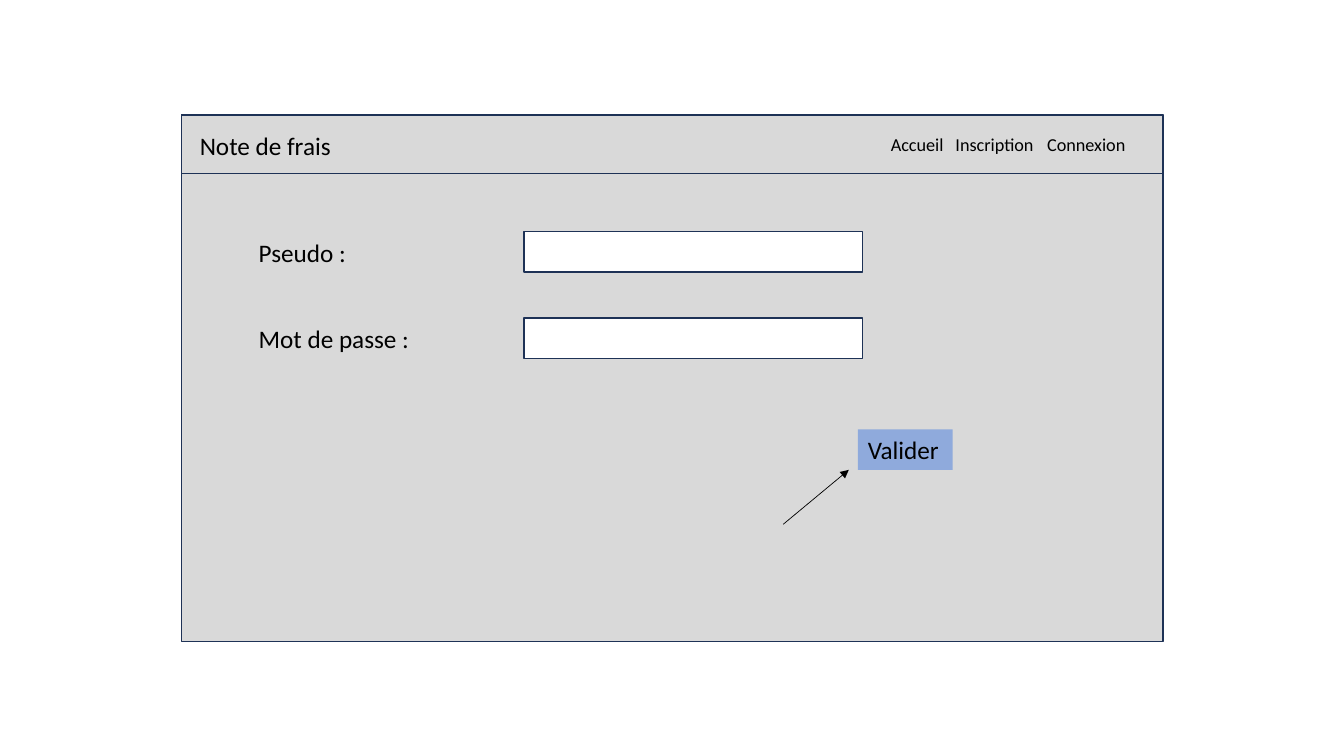
from dataclasses import dataclass

from lxml import etree
from pptx import Presentation
from pptx.dml.color import RGBColor
from pptx.enum.shapes import MSO_CONNECTOR, MSO_SHAPE
from pptx.enum.text import MSO_ANCHOR, MSO_AUTO_SIZE, PP_ALIGN
from pptx.oxml.ns import qn
from pptx.util import Cm, Pt

RECTANGLE = MSO_SHAPE.RECTANGLE
STRAIGHT = MSO_CONNECTOR.STRAIGHT
MIDDLE = MSO_ANCHOR.MIDDLE
LEFT = PP_ALIGN.LEFT
NO_AUTOFIT = MSO_AUTO_SIZE.NONE

FONT = "Calibri"
COLORS = {
    "panel": "D9D9D9",
    "outline": "1E3256",
    "input": "FFFFFF",
    "button": "8FAADC",
    "ink": "000000",
}


@dataclass(frozen=True)
class Box:
    """Position and size in centimetres."""
    left: float
    top: float
    width: float
    height: float

    def lengths(self):
        return Cm(self.left), Cm(self.top), Cm(self.width), Cm(self.height)


@dataclass(frozen=True)
class MenuItem:
    label: str
    left: float
    width: float


@dataclass(frozen=True)
class Field:
    label: str
    label_width: float


WINDOW = Box(4.57, 2.9, 24.74, 13.26)
HEADER = Box(4.57, 2.9, 24.74, 1.47)
TITLE = Box(4.78, 3.15, 4.27, 1.02)
BUTTON = Box(21.62, 10.82, 2.39, 1.02)
MENU = [
    MenuItem("Accueil", 22.2, 1.85),
    MenuItem("Inscription", 23.83, 2.51),
    MenuItem("Connexion", 26.14, 2.51),
]
FIELDS = [Field("Pseudo :", 2.77), Field("Mot de passe :", 5.87)]
FIELD_TOP, FIELD_STEP, FIELD_HEIGHT = 5.84, 2.17, 1.02
LABEL_LEFT, INPUT_LEFT, INPUT_WIDTH = 6.27, 13.21, 8.53


def rgb(color: str) -> RGBColor:
    return RGBColor.from_string(COLORS[color])


def write_text(shape, text: str, *, size: float = 18, color: str = "ink",
               wrap: bool = True) -> None:
    frame = shape.text_frame
    frame.text = text
    frame.word_wrap = wrap
    frame.auto_size = NO_AUTOFIT
    frame.vertical_anchor = MIDDLE
    paragraph = frame.paragraphs[0]
    paragraph.alignment = LEFT
    font = paragraph.runs[0].font
    font.name, font.size, font.bold = FONT, Pt(size), False
    font.color.rgb = rgb(color)


def add_label(slide, text: str, box: Box, *, size: float = 18) -> None:
    label = slide.shapes.add_textbox(*box.lengths())
    write_text(label, text, size=size, wrap=False)


def add_rectangle(slide, box: Box, fill: str, *, outlined: bool = True):
    rectangle = slide.shapes.add_shape(RECTANGLE, *box.lengths())
    rectangle.shadow.inherit = False
    rectangle.fill.solid()
    rectangle.fill.fore_color.rgb = rgb(fill)
    if outlined:
        rectangle.line.color.rgb = rgb("outline")
        rectangle.line.width = Pt(1)
    else:
        rectangle.line.fill.background()
    return rectangle


def add_arrow(slide, start: tuple[float, float], end: tuple[float, float]) -> None:
    arrow = slide.shapes.add_connector(
        STRAIGHT, *(Cm(value) for value in start + end))
    arrow.line.color.rgb = rgb("ink")
    arrow.line.width = Pt(0.5)
    etree.SubElement(arrow.line._get_or_add_ln(), qn("a:tailEnd"), type="triangle")
    etree.SubElement(arrow._element.spPr, qn("a:effectLst"))


def main() -> None:
    presentation = Presentation()
    presentation.slide_width, presentation.slide_height = Cm(33.87), Cm(19.05)
    slide = presentation.slides.add_slide(presentation.slide_layouts[5])

    # Window and its header bar
    for box in (WINDOW, HEADER):
        add_rectangle(slide, box, "panel")

    # Title, brought in front of the header bar
    title = slide.shapes.title
    title.left, title.top, title.width, title.height = TITLE.lengths()
    write_text(title, "Note de frais", wrap=False)
    slide.shapes._spTree.append(title._element)

    # Menu
    for item in MENU:
        add_label(slide, item.label, Box(item.left, 3.23, item.width, 0.81), size=13)

    # Login form
    for row, field in enumerate(FIELDS):
        top = FIELD_TOP + row * FIELD_STEP
        add_label(slide, field.label,
                  Box(LABEL_LEFT, top, field.label_width, FIELD_HEIGHT))
        add_rectangle(slide, Box(INPUT_LEFT, top, INPUT_WIDTH, FIELD_HEIGHT), "input")

    # Submit button and the arrow pointing at it
    submit = add_rectangle(slide, BUTTON, "button", outlined=False)
    write_text(submit, "Valider", wrap=False)
    add_arrow(slide, (19.74, 13.21), (21.39, 11.84))

    presentation.save("out.pptx")


if __name__ == "__main__":
    main()
